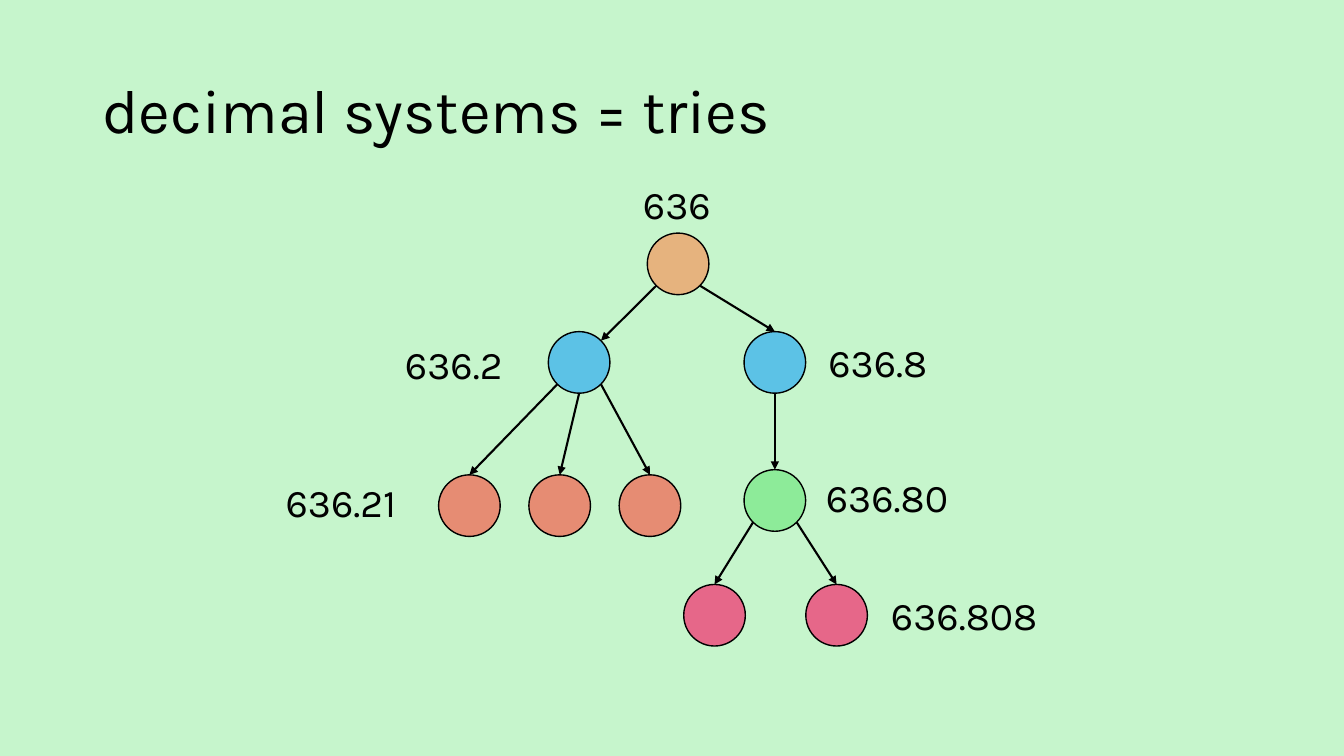
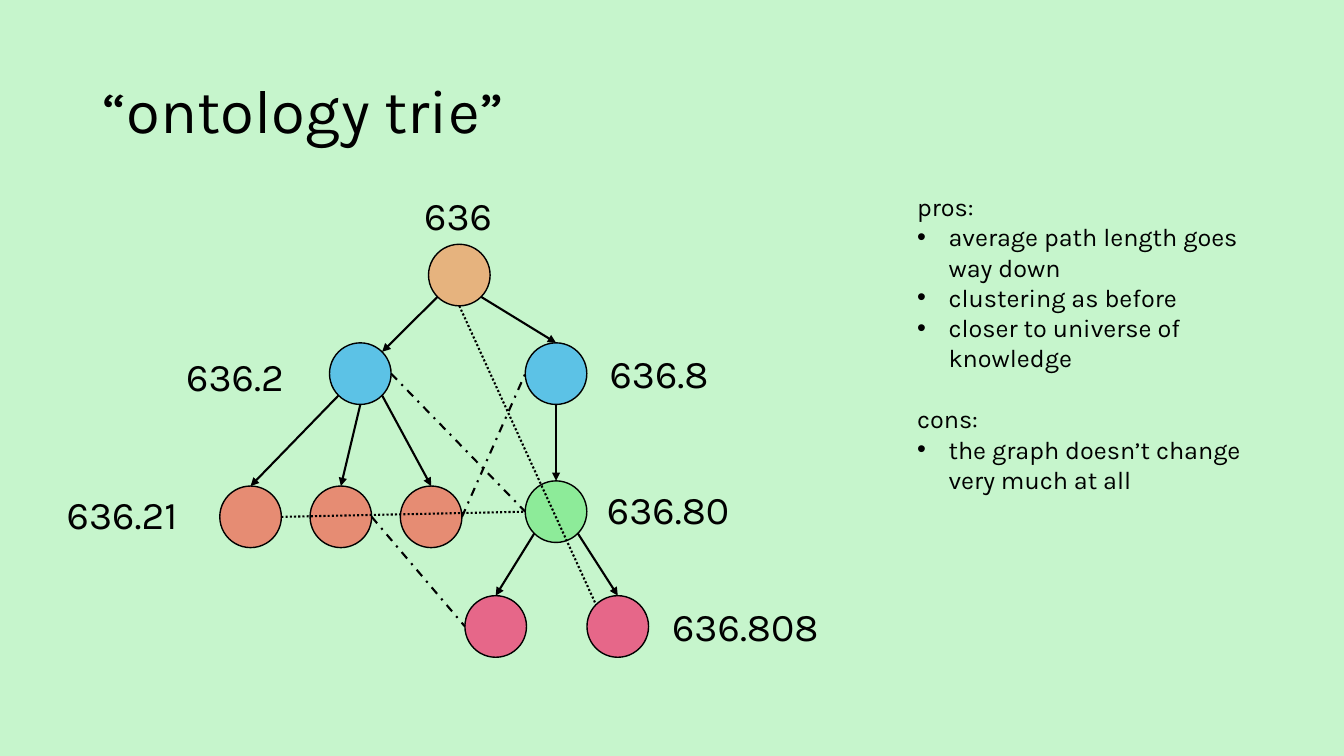
"""Build two slides on decimal systems drawn as tries."""
from math import cos, radians, sin

from lxml.etree import SubElement
from pptx import Presentation
from pptx.dml.color import RGBColor
from pptx.enum.dml import MSO_LINE as Dash
from pptx.enum.shapes import MSO_CONNECTOR as Link, MSO_SHAPE as Shape
from pptx.enum.text import MSO_ANCHOR as Anchor
from pptx.oxml.ns import qn
from pptx.util import Pt

BLACK = RGBColor(0x00, 0x00, 0x00)
MINT = RGBColor(0xC6, 0xF5, 0xCC)
SAND = RGBColor(0xE6, 0xB3, 0x7E)
BLUE = RGBColor(0x5C, 0xC2, 0xE6)
CORAL = RGBColor(0xE6, 0x8C, 0x73)
GREEN = RGBColor(0x8D, 0xEB, 0x99)
PINK = RGBColor(0xE6, 0x67, 0x89)
FONT = "Karla"
RADIUS = 22

NODES = {
    "root": (484.4, 188.5, SAND),
    "left": (413.7, 258.9, BLUE),
    "right": (553.5, 258.9, BLUE),
    "green": (553.5, 357.5, GREEN),
    "pink0": (510.4, 439.5, PINK),
    "pink1": (597.6, 439.5, PINK),
}
for i in range(3):
    NODES[f"leaf{i}"] = (335.3 + 64.5 * i, 361.2, CORAL)

LABELS = [
    ("636", 452.2, 125.3, 72),
    ("636.2", 282.2, 239.8, 89),
    ("636.21", 196.9, 338.4, 105),
    ("636.8", 584.6, 238.3, 95),
    ("636.80", 582.8, 334.8, 108),
    ("636.808", 629.3, 419, 126),
]

TREE = [
    ("root", 3, "left", 7), ("root", 5, "right", 0),
    ("left", 3, "leaf0", 0), ("left", 4, "leaf1", 0), ("left", 5, "leaf2", 0),
    ("right", 4, "green", 0),
    ("green", 3, "pink0", 0), ("green", 5, "pink1", 0),
]
CROSS = [
    ("leaf1", 6, "pink0", 2, Dash.DASH_DOT),
    ("left", 6, "green", 2, Dash.DASH_DOT),
    ("leaf2", 6, "right", 2, Dash.DASH_DOT),
    ("leaf0", 6, "green", 2, Dash.ROUND_DOT),
    ("root", 4, "pink1", 1, Dash.ROUND_DOT),
]
NOTES = [
    ("pros:", False),
    ("average path length goes way down", True),
    ("clustering as before", True),
    ("closer to universe of knowledge", True),
    ("cons:", False),
    ("the graph doesn’t change very much at all", True),
]
SLIDES = [
    ("decimal systems = tries", 0, 0, [], []),
    ("“ontology trie”", -156.3, 8, CROSS, NOTES),
]


def write(para, text, size):
    """Add one run in the deck's font."""
    run = para.add_run()
    run.text = text
    run.font.name = FONT
    run.font.size = Pt(size)
    run.font.color.rgb = BLACK


def site(name, num, dx, dy):
    """Find a point on a node's rim, counted in eighths from the top leftwards."""
    x, y, _ = NODES[name]
    turn = radians(45 * num)
    return Pt(x + dx - RADIUS * sin(turn)), Pt(y + dy - RADIUS * cos(turn))


deck = Presentation()
deck.slide_width, deck.slide_height = Pt(960), Pt(540)

for title, dx, dy, cross, notes in SLIDES:
    slide = deck.slides.add_slide(deck.slide_layouts[6])
    slide.background.fill.solid()
    slide.background.fill.fore_color.rgb = MINT
    shapes = slide.shapes

    frame = shapes.add_textbox(Pt(66), Pt(28.8), Pt(828), Pt(104.4)).text_frame
    frame.word_wrap = True
    frame.vertical_anchor = Anchor.MIDDLE
    frame.paragraphs[0].line_spacing = 0.9
    write(frame.paragraphs[0], title, 44)

    discs = {}
    for name, (x, y, color) in NODES.items():
        disc = shapes.add_shape(Shape.OVAL, Pt(x + dx - RADIUS), Pt(y + dy - RADIUS),
                                Pt(2 * RADIUS), Pt(2 * RADIUS))
        disc.shadow.inherit = False
        disc.fill.solid()
        disc.fill.fore_color.rgb = color
        disc.line.color.rgb = BLACK
        disc.line.width = Pt(1)
        discs[name] = disc

    for start, out, end, into, *dash in TREE + cross:
        line = shapes.add_connector(Link.STRAIGHT, *site(start, out, dx, dy),
                                    *site(end, into, dx, dy))
        if into == 0:
            line.end_connect(discs[end], 0)
        line.line.color.rgb = BLACK
        line.line.width = Pt(1.5)
        if dash:
            line.line.dash_style = dash[0]
        else:
            SubElement(line.line._get_or_add_ln(), qn("a:tailEnd"), type="triangle")
        SubElement(line._element.spPr, qn("a:effectLst"))

    for text, x, y, width in LABELS:
        frame = shapes.add_textbox(Pt(x + dx), Pt(y + dy), Pt(width), Pt(41)).text_frame
        frame.word_wrap = True
        write(frame.paragraphs[0], text, 28)

    if notes:
        frame = shapes.add_textbox(Pt(648), Pt(133.2), Pt(246), Pt(247)).text_frame
        frame.word_wrap = True
        for i, (text, point) in enumerate(notes):
            para = frame.add_paragraph() if i else frame.paragraphs[0]
            if point:
                props = para._p.get_or_add_pPr()
                props.set("marL", str(Pt(22.5)))
                props.set("indent", str(-Pt(22.5)))
                SubElement(props, qn("a:buFont"), typeface="Arial")
                SubElement(props, qn("a:buChar"), char="•")
            elif i:
                para.space_before = Pt(22)
            write(para, text, 18)

deck.save("out.pptx")
